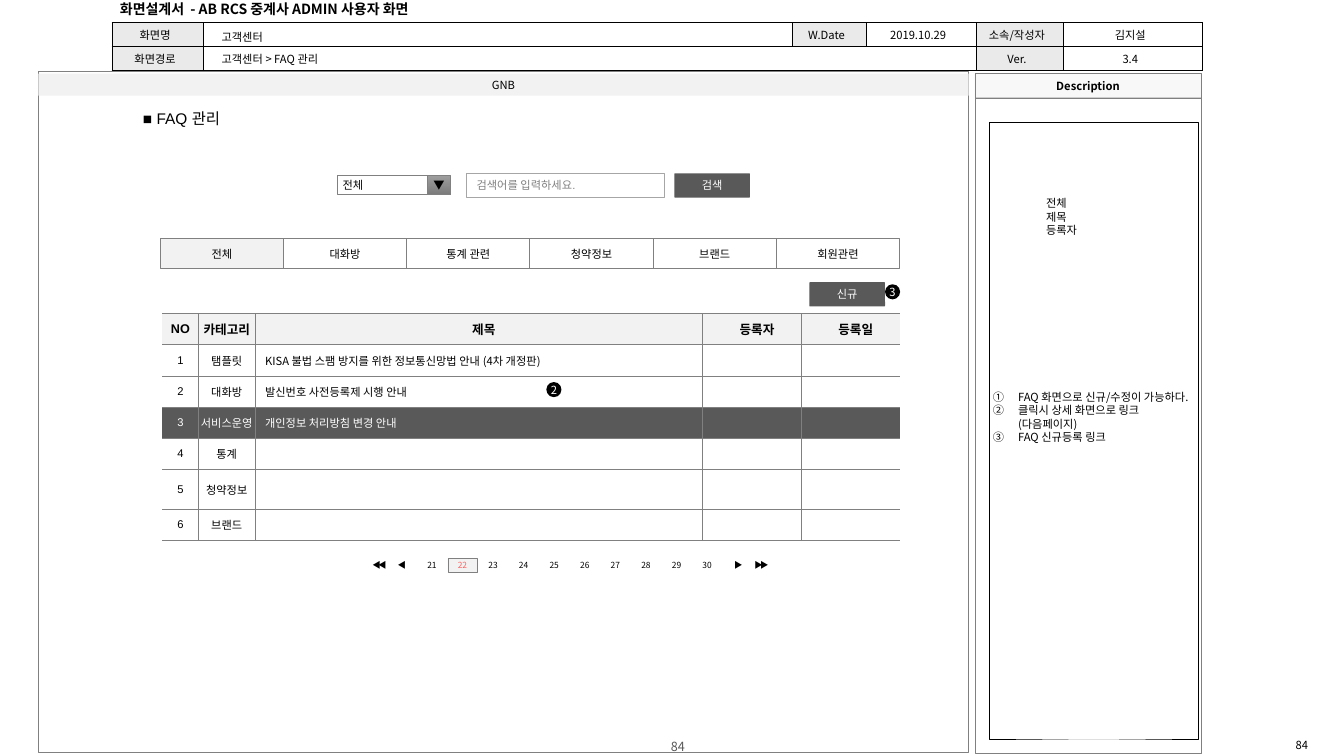
from lxml import etree
from pptx import Presentation
from pptx.dml.color import RGBColor
from pptx.enum.shapes import MSO_SHAPE
from pptx.enum.text import MSO_ANCHOR, PP_ALIGN
from pptx.oxml.ns import qn
from pptx.util import Emu, Pt

COLUMNS, ROWS = 160, 90
UNIT = 76200
RECT, ROUND, OVAL = MSO_SHAPE.RECTANGLE, MSO_SHAPE.ROUNDED_RECTANGLE, MSO_SHAPE.OVAL
LEFT, CENTER = PP_ALIGN.LEFT, PP_ALIGN.CENTER
TOP, MIDDLE = MSO_ANCHOR.TOP, MSO_ANCHOR.MIDDLE
NOTO, ARIAL = "Noto Sans CJK KR", "Arial"
BLACK, WHITE, GRAY, DARK, PALE = "000000", "FFFFFF", "808080", "595959", "F2F2F2"
DEFAULT_INSET = (1.2, 0.6, 1.2, 0.6)
NO_INSET = (0, 0, 0, 0)

HEADER_COLS = (10.92, 70.08, 8.76, 13.08, 10.44, 16.56)
HEADER_ROWS = (
    ("화면명", "", "W.Date", "2019.10.29", "소속/작성자", "김지설"),
    ("화면경로", "", "", "", "Ver.", "3.4"),
)
FAQ_COLS = (4.32, 6.72, 53.28, 11.76, 11.76)
FAQ_ROWS = (
    ("NO", "카테고리", "제목", "등록자", "등록일"),
    ("1", "탬플릿", "KISA 불법 스팸 방지를 위한 정보통신망법 안내 (4차 개정판)", "", ""),
    ("2", "대화방", "발신번호 사전등록제 시행 안내", "", ""),
    ("3", "서비스운영", "개인정보 처리방침 변경 안내", "", ""),
    ("4", "통계", "", "", ""),
    ("5", "청약정보", "", "", ""),
    ("6", "브랜드", "", "", ""),
)
SELECTED_ROW = 3
TABS = ("전체", "대화방", "통계 관련", "청약정보", "브랜드", "회원관련")
PAGE_ARROWS = ((43.44, "◀◀"), (46.08, "◀"), (86.16, "▶"), (88.92, "▶▶"))
NOTES = ("FAQ 화면으로 신규/수정이 가능하다.",
         "클릭시 상세 화면으로 링크 (다음페이지)",
         "FAQ 신규등록 링크")


def rgb(color):
    return RGBColor.from_string(color)


def grid(*lengths):
    return [Emu(round(n * UNIT)) for n in lengths]


def write(tf, text, size=8, color=BLACK, font=NOTO, bold=False, align=CENTER,
          indent=0, numbered=False, spacing=None, track=None):
    for i, line in enumerate(text.split("\n")):
        p = tf.paragraphs[0] if i == 0 else tf.add_paragraph()
        p.alignment = align
        if spacing:
            p.line_spacing = spacing
        pPr = p._p.get_or_add_pPr()
        if indent:
            pPr.set("marL", str(round(indent * UNIT)))
        if numbered:
            pPr.set("indent", str(round(-indent * UNIT)))
            etree.SubElement(pPr, qn("a:buFont"), typeface="+mj-lt")
            etree.SubElement(pPr, qn("a:buAutoNum"), type="circleNumDbPlain")
        if not line:
            etree.SubElement(p._p, qn("a:endParaRPr"), sz=str(size * 100))
            continue
        r = p.add_run()
        r.text = line
        r.font.size, r.font.bold, r.font.name = Pt(size), bold, font
        r.font.color.rgb = rgb(color)
        rPr = r._r.get_or_add_rPr()
        etree.SubElement(rPr, qn("a:ea"), typeface=NOTO)
        if track:
            rPr.set("spc", str(round(track * 100)))


def frame_text(tf, text, anchor=MIDDLE, inset=DEFAULT_INSET, wrap=True, **style):
    tf.word_wrap = wrap
    tf.vertical_anchor = anchor
    tf.margin_left, tf.margin_top, tf.margin_right, tf.margin_bottom = grid(*inset)
    write(tf, text, **style)


def label(s, box, text, **style):
    sp = s.shapes.add_textbox(*grid(*box))
    frame_text(sp.text_frame, text, **style)


def block(s, box, text="", kind=RECT, fill=None, line=None, weight=0.25, **style):
    sp = s.shapes.add_shape(kind, *grid(*box))
    sp.shadow.inherit = False
    if kind == ROUND:
        sp.adjustments[0] = 0.03
    if fill:
        sp.fill.solid()
        sp.fill.fore_color.rgb = rgb(fill)
    else:
        sp.fill.background()
    if line:
        sp.line.color.rgb = rgb(line)
        sp.line.width = Pt(weight)
    else:
        sp.line.fill.background()
    if text:
        frame_text(sp.text_frame, text, **style)
    return sp


def button(s, x, y, text):
    block(s, (x, y, 9, 2.88), text, kind=ROUND, fill=DARK, color=WHITE, font=ARIAL)


def marker(s, x, y, text):
    block(s, (x, y, 1.8, 1.8), text, kind=OVAL, fill=BLACK, color=WHITE,
          inset=NO_INSET, wrap=False)


def set_borders(cell, color, weight, hidden=()):
    tcPr = cell._tc.get_or_add_tcPr()
    for i, side in enumerate(("lnL", "lnR", "lnT", "lnB")):
        ln = etree.Element(qn("a:" + side), w=str(Pt(weight)))
        if side in hidden:
            etree.SubElement(ln, qn("a:noFill"))
        else:
            fill = etree.SubElement(ln, qn("a:solidFill"))
            etree.SubElement(fill, qn("a:srgbClr"), val=color)
        tcPr.insert(i, ln)


def add_grid_table(s, x, y, cols, heights):
    box = grid(x, y, sum(cols), sum(heights))
    table = s.shapes.add_table(len(heights), len(cols), *box).table
    table.first_row = table.horz_banding = False
    for column, width in zip(table.columns, grid(*cols)):
        column.width = width
    for row, height in zip(table.rows, grid(*heights)):
        row.height = height
    return table


def fill_cell(cell, text, fill, inset, **style):
    cell.fill.solid()
    cell.fill.fore_color.rgb = rgb(fill)
    cell.vertical_anchor = MIDDLE
    cell.margin_left, cell.margin_top, cell.margin_right, cell.margin_bottom = grid(*inset)
    write(cell.text_frame, text, **style)


def header_table(s):
    table = add_grid_table(s, 13.32, 2.64, HEADER_COLS, (2.86, 2.86))
    for i, row in enumerate(HEADER_ROWS):
        for j, text in enumerate(row):
            cell = table.cell(i, j)
            fill = "EAEAEA" if text and j % 2 == 0 else WHITE
            fill_cell(cell, text, fill, (0.48, 0.48, 1.08, 0.48))
            set_borders(cell, BLACK, 0.25)
    table.cell(1, 1).merge(table.cell(1, 3))


def faq_table(s):
    heights = [4.68 if i == 5 else 3.72 for i in range(len(FAQ_ROWS))]
    table = add_grid_table(s, 19.32, 37.32, FAQ_COLS, heights)
    last = len(FAQ_COLS) - 1
    for i, row in enumerate(FAQ_ROWS):
        head, selected = i == 0, i == SELECTED_ROW
        fill = PALE if head else DARK if selected else WHITE
        for j, text in enumerate(row):
            cell = table.cell(i, j)
            fill_cell(cell, text, fill, (0, 0.48, 0, 0.48),
                      size=9 if head else 8, bold=head,
                      color=WHITE if selected else BLACK,
                      font=ARIAL if j < 2 else NOTO,
                      align=CENTER if head or j < 2 else LEFT,
                      indent=1.2 if j >= 2 else 0)
            set_borders(cell, GRAY, 0.5, {0: ("lnL",), last: ("lnR",)}.get(j, ()))


def search_bar(s):
    block(s, (40.2, 20.88, 12.84, 2.28), "전체", fill=WHITE, line=GRAY, weight=0.5,
          align=LEFT, inset=(0.6, 0.36, 5.52, 0.36), wrap=False)
    arrow = block(s, (50.88, 20.88, 2.76, 2.28), "▼", line=GRAY, weight=0.5,
                  inset=NO_INSET, wrap=False)
    arrow.fill.gradient()
    arrow.fill.gradient_angle = 270
    for stop, color in zip(arrow.fill.gradient_stops, ("9D9D9D", "7C7C7C")):
        stop.color.rgb = rgb(color)
    block(s, (55.56, 20.64, 23.52, 2.88), "검색어를 입력하세요.", fill=WHITE,
          line="A6A6A6", weight=0.75, color=GRAY, font=ARIAL, align=LEFT)
    button(s, 80.28, 20.64, "검색")


def category_tabs(s):
    for i, text in enumerate(TABS):
        block(s, (19.08 + i * 14.67, 28.4, 14.67, 3.6), text,
              fill=None if i else PALE, line=GRAY, weight=0.75, font=ARIAL,
              inset=(0.96, 0, 0.96, 0))


def pagination(s):
    for i, number in enumerate(range(21, 31)):
        current = number == 22
        block(s, (49.68 + i * 3.64, 66.48, 3.48, 1.68), str(number),
              fill=PALE if current else WHITE, line=GRAY if current else None,
              size=6, color="FF6060" if current else BLACK, inset=NO_INSET)
    for x, text in PAGE_ARROWS:
        label(s, (x, 66.48, 3.48, 1.68), text, size=6, inset=NO_INSET,
              track=-1.9 if len(text) > 1 else None)


def page_frame(s):
    label(s, (150, 87.72, 10, 1.92), "84", inset=NO_INSET)
    label(s, (62.04, 88.08, 37.32, 1.56), "84", size=9, color=DARK, inset=NO_INSET)
    block(s, (4.56, 8.52, 110.76, 81), line=GRAY)
    header_table(s)
    label(s, (13.2, -0.48, 41.64, 3.12), "화면설계서  - AB RCS 중계사 ADMIN 사용자 화면",
          size=10, bold=True, align=LEFT, inset=(1.08, 0.48, 1.08, 0.48), wrap=False)
    block(s, (116.04, 11.52, 27, 78.12), line=GRAY)
    block(s, (116.04, 8.76, 27, 2.88), "Description", fill="F8F8F8", line=GRAY,
          bold=True, wrap=False)
    block(s, (4.56, 8.76, 110.76, 2.64), "GNB", fill=PALE)


def description(s):
    block(s, (117.72, 14.52, 24.96, 73.44), "\n".join(NOTES), line=BLACK, align=LEFT,
          inset=(0.48, 0.48, 0.48, 3.7), indent=3, numbered=True, spacing=Pt(9.6))
    block(s, (123.36, 20.88, 11.64, 9.84), "전체\n제목\n등록자", font=ARIAL,
          align=LEFT, spacing=Pt(9.6))


def main():
    prs = Presentation()
    prs.slide_width, prs.slide_height = grid(COLUMNS, ROWS)
    s = prs.slides.add_slide(prs.slide_layouts[6])
    page_frame(s)
    description(s)
    label(s, (25.2, 5.64, 28.92, 2.88), "고객센터 > FAQ 관리", anchor=TOP, align=LEFT)
    label(s, (25.2, 3, 19.92, 2.88), "고객센터", anchor=TOP, align=LEFT)
    label(s, (15.84, 12.36, 42.84, 3.48), "■ FAQ 관리", size=11, font=ARIAL,
          anchor=TOP, align=LEFT)
    search_bar(s)
    category_tabs(s)
    button(s, 96.36, 33.6, "신규")
    faq_table(s)
    pagination(s)
    marker(s, 105.36, 33.84, "3")
    marker(s, 65.04, 45.48, "2")
    prs.save("out.pptx")


if __name__ == "__main__":
    main()
